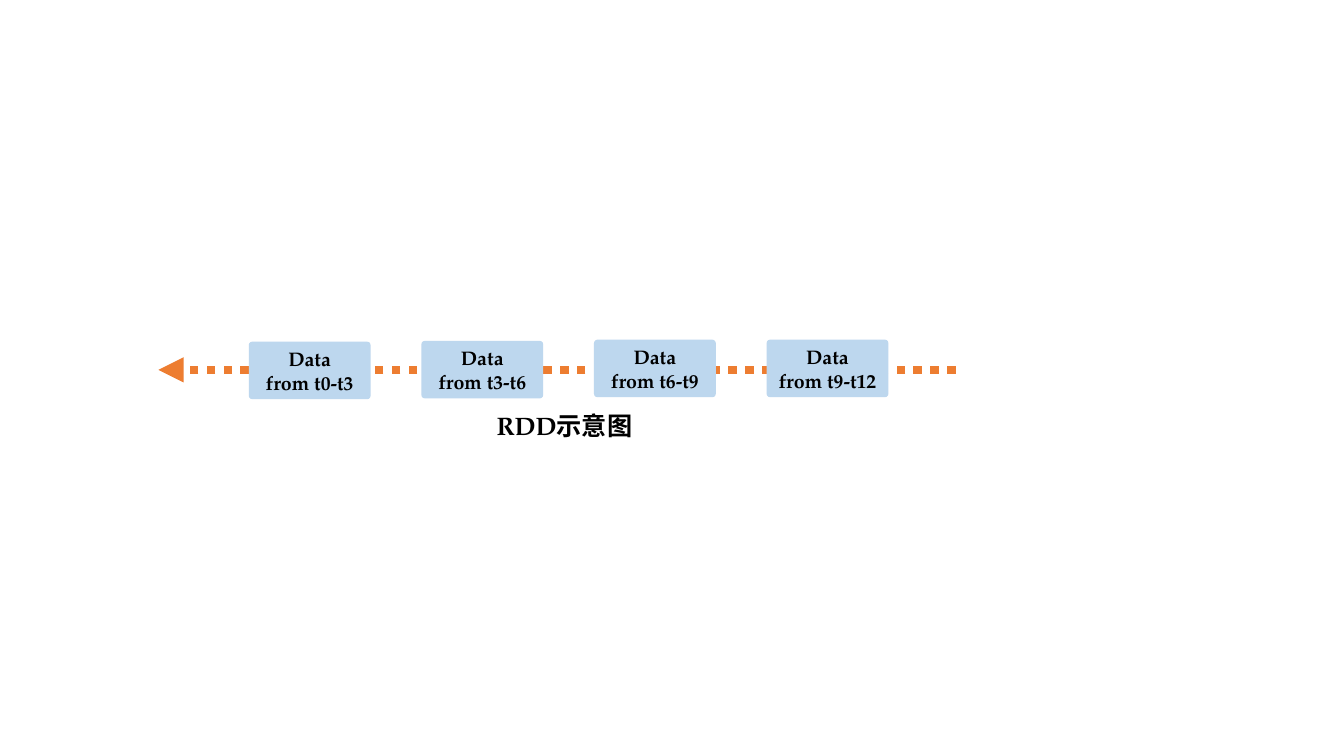
from dataclasses import dataclass

from lxml import etree
from pptx import Presentation
from pptx.dml.color import RGBColor
from pptx.enum.dml import MSO_LINE
from pptx.enum.shapes import MSO_CONNECTOR, MSO_SHAPE
from pptx.enum.text import MSO_ANCHOR, MSO_AUTO_SIZE, PP_ALIGN
from pptx.oxml.ns import qn
from pptx.util import Cm, Pt

STRAIGHT = MSO_CONNECTOR.STRAIGHT
ROUNDED = MSO_SHAPE.ROUNDED_RECTANGLE
DOTTED = MSO_LINE.ROUND_DOT
MIDDLE = MSO_ANCHOR.MIDDLE
CENTER = PP_ALIGN.CENTER
GROW = MSO_AUTO_SIZE.SHAPE_TO_FIT_TEXT
BLANK_LAYOUT = 6


@dataclass(frozen=True)
class Theme:
    font: str = "TeX Gyre Pagella"
    ink: RGBColor = RGBColor(0x00, 0x00, 0x00)
    batch: RGBColor = RGBColor(0xBD, 0xD7, 0xEE)
    stream: RGBColor = RGBColor(0xED, 0x7D, 0x31)
    batch_size: Pt = Pt(14)
    caption_size: Pt = Pt(18)
    stream_width: Pt = Pt(6)


THEME = Theme()
BATCH_LEFT, BATCH_PITCH = 6.27, 4.35
BATCH_WIDTH, BATCH_HEIGHT = 3.07, 1.45
BATCHES = [("t0-t3", 8.61), ("t3-t6", 8.59), ("t6-t9", 8.56), ("t9-t12", 8.56)]


def write_text(frame, text, size, color=THEME.ink, bold=True, align=CENTER):
    frame.word_wrap = True
    for index, line in enumerate(text.split("\n")):
        para = frame.paragraphs[0] if index == 0 else frame.add_paragraph()
        para.alignment = align
        span = para.add_run()
        span.text = line
        span.font.name = THEME.font
        span.font.size = size
        span.font.bold = bold
        span.font.color.rgb = color


def add_stream_arrow(page, start, end, top):
    arrow = page.shapes.add_connector(STRAIGHT, Cm(start), Cm(top), Cm(end), Cm(top))
    arrow.line.color.rgb = THEME.stream
    arrow.line.width = THEME.stream_width
    arrow.line.dash_style = DOTTED
    properties = arrow.element.spPr
    etree.SubElement(properties.find(qn("a:ln")), qn("a:tailEnd"), type="triangle")
    etree.SubElement(properties, qn("a:effectLst"))


def add_batch(page, text, left, top):
    box = page.shapes.add_shape(
        ROUNDED, Cm(left), Cm(top), Cm(BATCH_WIDTH), Cm(BATCH_HEIGHT)
    )
    box.adjustments[0] = 0.06
    box.shadow.inherit = False
    box.fill.solid()
    box.fill.fore_color.rgb = THEME.batch
    box.line.fill.background()
    frame = box.text_frame
    frame.vertical_anchor = MIDDLE
    frame.margin_left = frame.margin_right = Cm(0.1)
    write_text(frame, text, THEME.batch_size)


def add_caption(page, text, left, top, width, height):
    box = page.shapes.add_textbox(Cm(left), Cm(top), Cm(width), Cm(height))
    box.text_frame.auto_size = GROW
    write_text(box.text_frame, text, THEME.caption_size)


def main():
    deck = Presentation()
    deck.slide_width, deck.slide_height = Cm(33.87), Cm(19.05)
    page = deck.slides.add_slide(deck.slide_layouts[BLANK_LAYOUT])
    add_stream_arrow(page, start=24.08, end=3.99, top=9.32)
    for index, (interval, top) in enumerate(BATCHES):
        add_batch(page, f"Data\nfrom {interval}", BATCH_LEFT + index * BATCH_PITCH, top)
    add_caption(page, "RDD示意图", left=2.01, top=10.21, width=24.43, height=1.02)
    deck.save("out.pptx")


if __name__ == "__main__":
    main()
